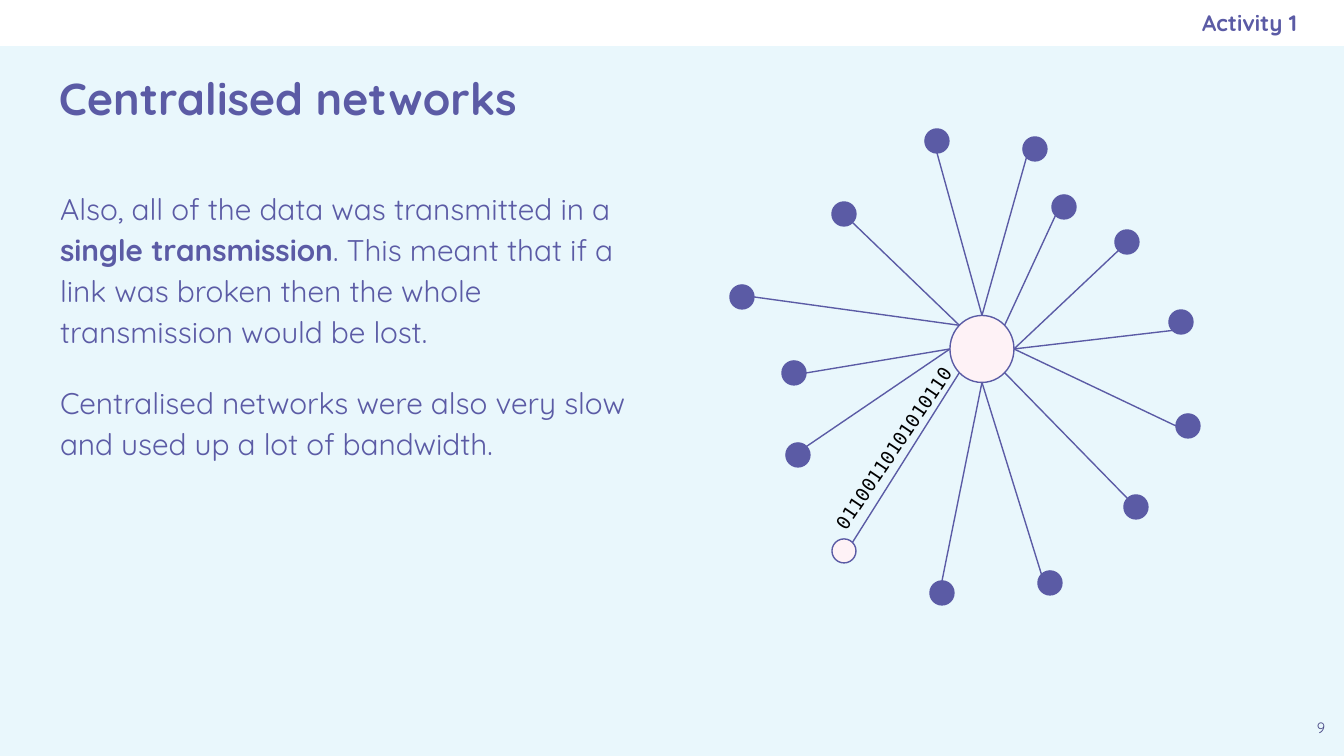
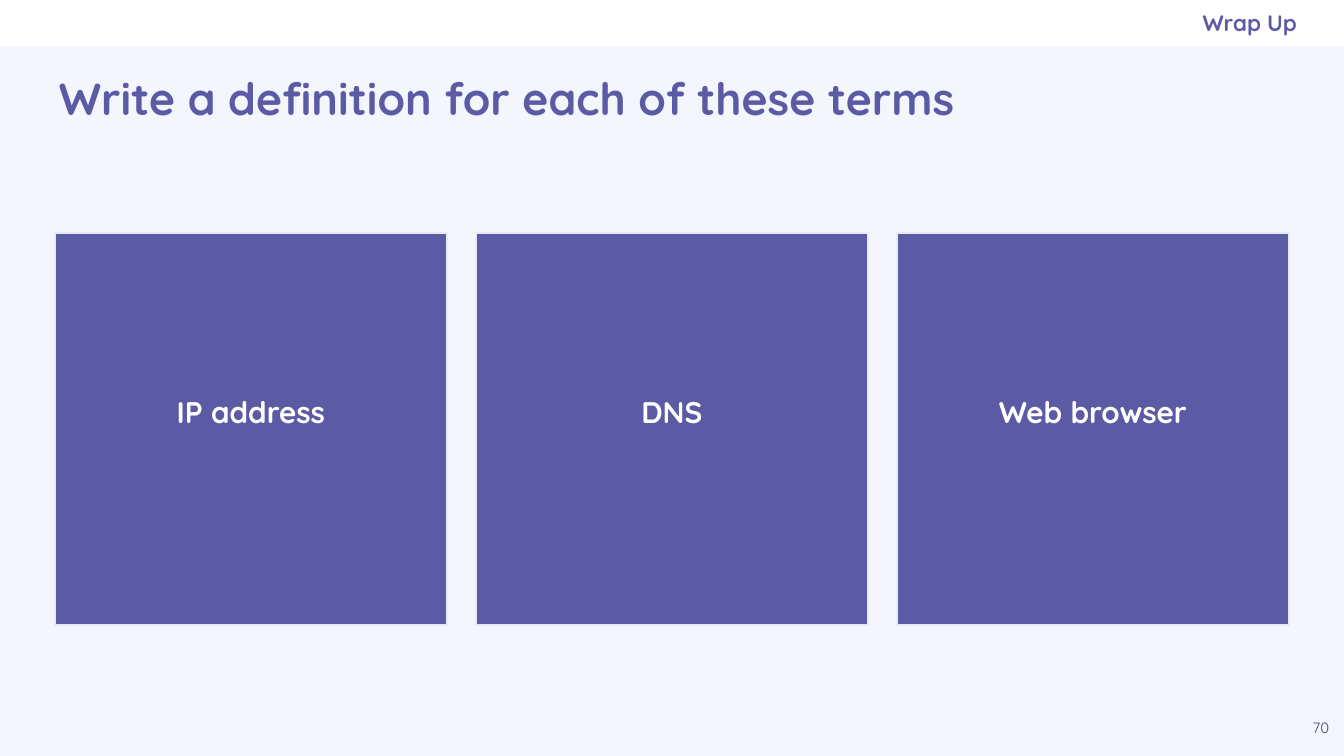
from math import cos, radians, sin

from lxml.etree import SubElement
from pptx import Presentation
from pptx.dml.color import RGBColor
from pptx.enum.shapes import MSO_CONNECTOR, MSO_SHAPE
from pptx.enum.text import MSO_ANCHOR, PP_ALIGN
from pptx.oxml.ns import qn
from pptx.util import Pt

# Content
NETWORK_SLIDE = {
    "section": "Activity 1",
    "title": "Centralised networks",
    "number": "9",
    "background": "ice",
}
# Each paragraph is a list of (text, bold) runs
NETWORK_TEXT = [
    [
        ("Also, all of the data was transmitted in a ", False),
        ("single transmission", True),
        (". This meant that if a link was broken then the whole "
         "transmission would be lost.", False),
    ],
    [("Centralised networks were also very slow and used up a lot of bandwidth.", False)],
]
TRANSMISSION = "01100110101010110"
# Node centre x, y, then the side of the hub and of the node that the link joins
RECEIVERS = [
    (844, 214, "NW", "SE"),
    (1064, 207, "NE", "SW"),
    (1136, 507, "SE", "NW"),
    (942, 593, "S", "N"),
    (798, 455, "W", "NE"),
    (937, 141, "N", "S"),
    (742, 297, "NW", "E"),
    (1035, 149, "N", "SW"),
    (794, 373, "W", "E"),
    (1050, 583, "S", "NW"),
    (1188, 426, "E", "W"),
    (1181, 322, "E", "SW"),
    (1127, 242, "E", "SW"),
]
SENDER = (844, 551, "SW", "NE")

TERMS_SLIDE = {
    "section": "Wrap Up",
    "title": "Write a definition for each of these terms",
    "number": "70",
    "background": "mist",
}
TERMS = ["IP address", "DNS", "Web browser"]

# Look and measures, in px
COLOURS = {
    "ice": "E9F7FC",
    "mist": "F3F6FC",
    "white": "FFFFFF",
    "purple": "5B5BA5",
    "deep": "494985",
    "pink": "FEF2F6",
    "edge": "E9E9F3",
    "black": "000000",
}
FONT, CODE_FONT = "Quicksand", "DejaVu Sans Mono"
EMU_PER_PX = 914400 / 134.4
WIDTH, HEIGHT = 1344, 756
BAND_HEIGHT = 46
INSET = 13
HUB = (982, 349, 64, 67)
NODE_SIZE = 24
CARD_TOP, CARD_SIZE, CARD_GAP = 233, 392, 29
COMPASS = ["E", "SE", "S", "SW", "W", "NW", "N", "NE"]


def px(length):
    return round(length * EMU_PER_PX)


def colour(name):
    return RGBColor.from_string(COLOURS[name])


def write(shape, paragraphs, size=16, ink="purple", font=FONT, align=PP_ALIGN.LEFT,
          anchor=MSO_ANCHOR.TOP, right=INSET, bottom=INSET, wrap=True,
          line_spacing=None, gap=0):
    frame = shape.text_frame
    frame.word_wrap = wrap
    frame.vertical_anchor = anchor
    frame.margin_left = frame.margin_top = px(INSET)
    frame.margin_right, frame.margin_bottom = px(right), px(bottom)
    for index, runs in enumerate(paragraphs):
        paragraph = frame.add_paragraph() if index else frame.paragraphs[0]
        paragraph.alignment = align
        if line_spacing:
            paragraph.line_spacing = line_spacing
        if index and gap:
            paragraph.space_before = Pt(gap)
        for text, bold in runs:
            run = paragraph.add_run()
            run.text = text
            run.font.name, run.font.size, run.font.bold = font, Pt(size), bold
            run.font.color.rgb = colour(ink)


def add_text(slide, box, paragraphs, **text_format):
    shape = slide.shapes.add_textbox(*map(px, box))
    write(shape, paragraphs, **text_format)
    return shape


def add_shape(slide, kind, box, fill, line=None):
    shape = slide.shapes.add_shape(kind, *map(px, box))
    shape.shadow.inherit = False
    shape.fill.solid()
    shape.fill.fore_color.rgb = colour(fill)
    if line:
        shape.line.color.rgb = colour(line)
        shape.line.width = Pt(0.75)
    else:
        shape.line.fill.background()
    return shape


def add_circle(slide, x, y, width, height, fill):
    box = (x - width / 2, y - height / 2, width, height)
    return add_shape(slide, MSO_SHAPE.OVAL, box, fill, "purple")


def rim_point(x, y, width, height, side):
    angle = radians(45 * COMPASS.index(side))
    return x + width / 2 * cos(angle), y + height / 2 * sin(angle)


def add_link(slide, start, end):
    link = slide.shapes.add_connector(MSO_CONNECTOR.STRAIGHT, *map(px, (*start, *end)))
    link.line.color.rgb = colour("purple")
    link.line.width = Pt(0.75)
    SubElement(link._element.spPr, qn("a:effectLst"))


def add_slide(presentation, section, title, number, background):
    slide = presentation.slides.add_slide(presentation.slide_layouts[6])
    slide.background.fill.solid()
    slide.background.fill.fore_color.rgb = colour(background)
    add_shape(slide, MSO_SHAPE.RECTANGLE, (0, 0, WIDTH, BAND_HEIGHT), "white")
    add_text(slide, (773, 0, 524, BAND_HEIGHT), [[(section, True)]], size=12,
             align=PP_ALIGN.RIGHT, anchor=MSO_ANCHOR.MIDDLE, right=0)
    add_text(slide, (46, 47, 1252, 102), [[(title, True)]], size=24,
             anchor=MSO_ANCHOR.MIDDLE)
    add_text(slide, (1298, 710, 46, 46), [[(number, False)]], size=8, ink="deep",
             align=PP_ALIGN.CENTER)
    return slide


def build_network(presentation):
    slide = add_slide(presentation, **NETWORK_SLIDE)
    add_text(slide, (47, 172, 602, 538), NETWORK_TEXT, line_spacing=1.15, gap=16)

    # Hub, nodes and the links between them
    add_circle(slide, *HUB, "pink")
    for node in [*RECEIVERS, SENDER]:
        x, y, hub_side, node_side = node
        circle = (x, y, NODE_SIZE, NODE_SIZE)
        add_circle(slide, *circle, "pink" if node is SENDER else "purple")
        add_link(slide, rim_point(*HUB, hub_side), rim_point(*circle, node_side))

    # Data travelling along the sender's link
    data = add_text(slide, (786, 422, 222, 50), [[(TRANSMISSION, False)]], size=10,
                    ink="black", font=CODE_FONT)
    data.rotation = 304


def build_terms(presentation):
    slide = add_slide(presentation, **TERMS_SLIDE)
    step = CARD_SIZE + CARD_GAP
    left = (WIDTH - len(TERMS) * step + CARD_GAP) / 2
    for index, term in enumerate(TERMS):
        box = (left + index * step, CARD_TOP, CARD_SIZE, CARD_SIZE)
        card = add_shape(slide, MSO_SHAPE.RECTANGLE, box, "purple", "edge")
        # The deeper bottom inset lifts the term above the middle
        write(card, [[(term, True)]], ink="white", align=PP_ALIGN.CENTER,
              anchor=MSO_ANCHOR.MIDDLE, bottom=48)


def main():
    presentation = Presentation()
    presentation.slide_width, presentation.slide_height = px(WIDTH), px(HEIGHT)
    build_network(presentation)
    build_terms(presentation)
    presentation.save("out.pptx")


if __name__ == "__main__":
    main()
